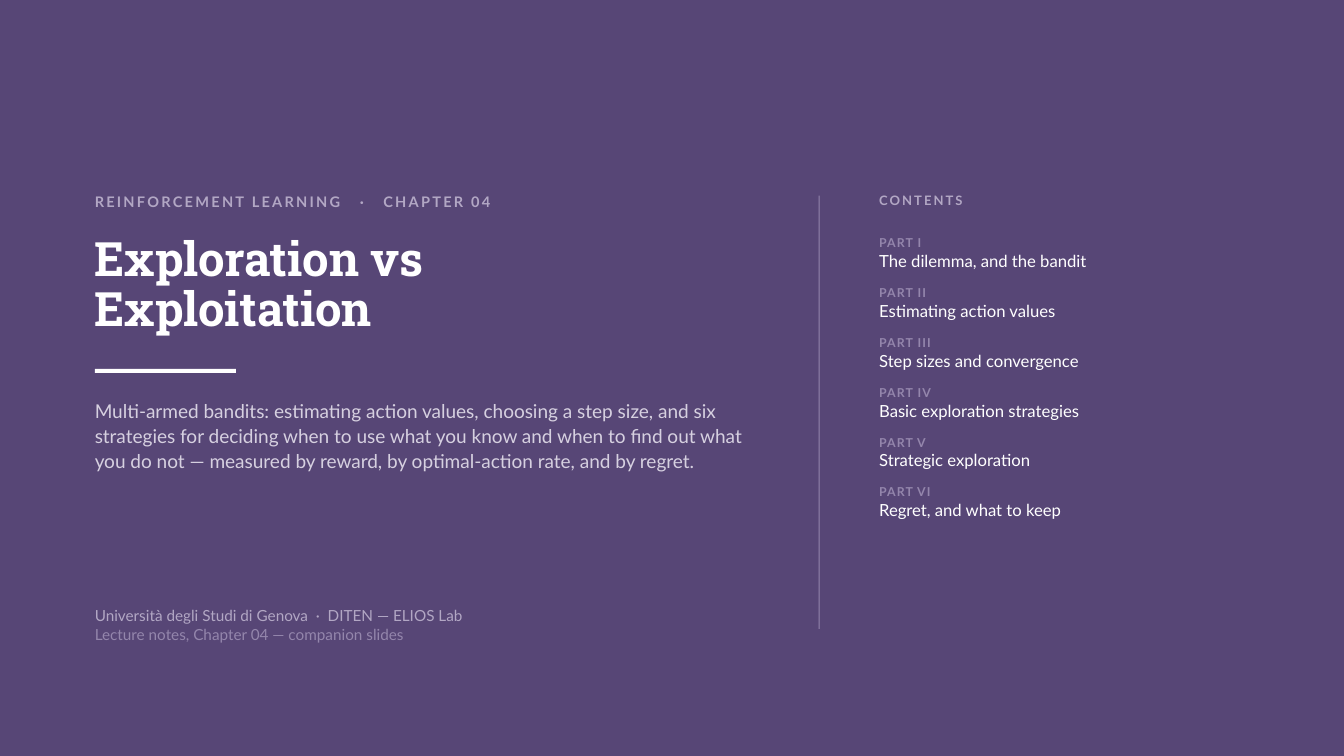
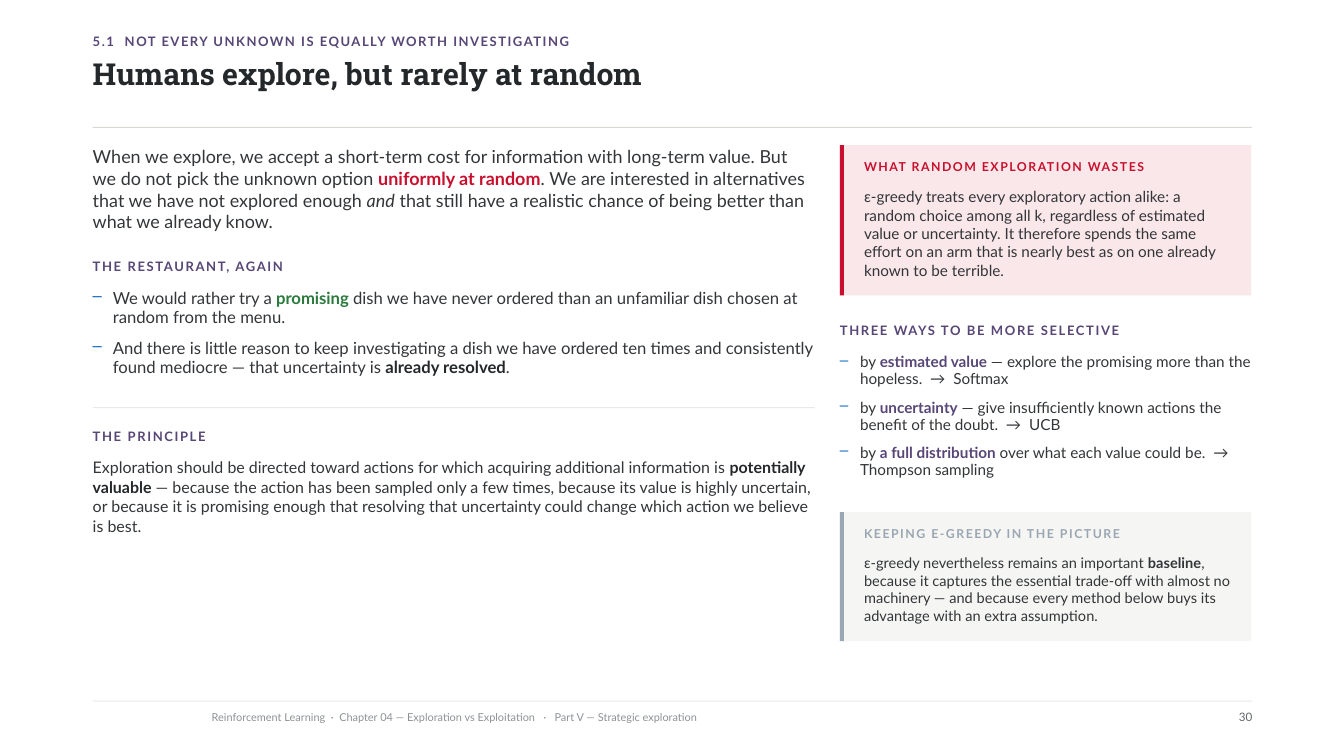
"""Builds the cover and one content slide of a lecture on exploration vs exploitation."""
from lxml.etree import SubElement
from pptx import Presentation
from pptx.dml.color import RGBColor
from pptx.enum.shapes import MSO_SHAPE
from pptx.enum.text import PP_ALIGN
from pptx.oxml.ns import qn
from pptx.util import Pt

PX = 9144
BODY, HEAD = "Lato", "Roboto Slab"
HUES = {
    "plum": "574676", "lilac": "B2A7C4", "mauve": "9486AC", "mist": "D6D0E0",
    "white": "FFFFFF", "dark": "25282A", "ink": "333639", "rule": "D9D9D6",
    "faint": "E9E9E6", "gray": "8E9295", "page": "626669", "red": "C8102E",
    "rose": "FAE7EA", "green": "2B7A3E", "blue": "1971C2", "steel": "9AA6B2",
    "sand": "F5F5F3",
}
LEFT, TOP, FULL = 92, 144, 1150
MAIN, SIDE, NARROW = 716, 833, 408


def box(slide, x, y, w, h, fill=None):
    """Adds a filled bar, or an empty text box when no fill is given."""
    spot = [n * PX for n in (x, y, w, h)]
    if fill:
        shape = slide.shapes.add_shape(MSO_SHAPE.RECTANGLE, *spot)
        shape.shadow.inherit = False
        shape.fill.solid()
        shape.fill.fore_color.rgb = RGBColor.from_string(HUES[fill])
        shape.line.fill.background()
        return shape
    shape = slide.shapes.add_textbox(*spot)
    frame = shape.text_frame
    frame.word_wrap = True
    frame.margin_left = frame.margin_right = frame.margin_top = frame.margin_bottom = 0
    return shape


def write(shape, runs, size, lead, gap=0, track=0, face=BODY, dash=False):
    """Adds a paragraph of (text, colour, style) runs."""
    frame = shape.text_frame
    para = frame.paragraphs[0]
    if para.runs:
        para = frame.add_paragraph()
        para.space_before = Pt(gap)
    if dash:
        props = para._p.get_or_add_pPr()
        props.set("marL", str(20 * PX))
        props.set("indent", str(-20 * PX))
        tint = SubElement(props, qn("a:buClr"))
        SubElement(tint, qn("a:srgbClr")).set("val", HUES["blue"])
        SubElement(props, qn("a:buChar")).set("char", "–")
    para.line_spacing = Pt(lead)
    for text, hue, style in runs:
        run = para.add_run()
        run.text = text
        font = run.font
        font.name, font.size = face, Pt(size)
        font.bold, font.italic = style == "b", style == "i"
        font.color.rgb = RGBColor.from_string(HUES[hue])
        if track:
            run._r.get_or_add_rPr().set("spc", str(round(track * 100)))
    return para


deck = Presentation()
deck.slide_width, deck.slide_height = 1333 * PX, 750 * PX
blank = deck.slide_layouts[6]

cover = deck.slides.add_slide(blank)
box(cover, 0, 0, 1333, 750, "plum")
write(box(cover, 94, 194, 690, 26),
      [("REINFORCEMENT LEARNING   ·   CHAPTER 04", "lilac", "b")], 10.4, 10.4, track=1.6)
title = box(cover, 94, 234, 740, 110)
for line in ("Exploration vs", "Exploitation"):
    write(title, [(line, "white", "b")], 33.8, 35.9, face=HEAD)
box(cover, 94, 366, 140, 4, "white")
write(box(cover, 94, 394, 670, 150), [(
    "Multi-armed bandits: estimating action values, choosing a step size, and six "
    "strategies for deciding when to use what you know and when to find out what you "
    "do not — measured by reward, by optimal-action rate, and by regret.",
    "mist", "")], 13.6, 18)
credit = box(cover, 94, 604, 690, 62)
for line, hue in (("Università degli Studi di Genova  ·  DITEN — ELIOS Lab", "lilac"),
                  ("Lecture notes, Chapter 04 — companion slides", "mauve")):
    write(credit, [(line, hue, "")], 10.9, 10.9, gap=3)

box(cover, 812, 194, 1, 430, "mauve")
write(box(cover, 872, 194, 370, 24), [("CONTENTS", "lilac", "b")], 9.3, 9.3, track=1.5)
parts = {
    "I": "The dilemma, and the bandit",
    "II": "Estimating action values",
    "III": "Step sizes and convergence",
    "IV": "Basic exploration strategies",
    "V": "Strategic exploration",
    "VI": "Regret, and what to keep",
}
index = box(cover, 872, 236, 370, 400)
for num, name in parts.items():
    write(index, [(f"PART {num}", "mauve", "b")], 8.8, 8.8, gap=12, track=0.8)
    write(index, [(name, "white", "")], 11.9, 12.8, gap=2)

page = deck.slides.add_slide(blank)
write(box(page, LEFT, 36, FULL, 22),
      [("5.1  NOT EVERY UNKNOWN IS EQUALLY WORTH INVESTIGATING", "plum", "b")],
      9.3, 9.3, track=1.1)
write(box(page, LEFT, 60, FULL, 52),
      [("Humans explore, but rarely at random", "dark", "b")], 21.6, 22.5, face=HEAD)
for y, w, hue in ((126, FULL, "rule"), (404, MAIN, "faint"), (695, FULL, "faint")):
    box(page, LEFT, y, w, 1, hue)
write(box(page, 210, 707, 910, 22), [(
    "Reinforcement Learning  ·  Chapter 04 — Exploration vs Exploitation   ·   "
    "Part V — Strategic exploration", "gray", "")], 7.8, 7.8)
folio = write(box(page, 1122, 707, 120, 22), [("30", "page", "")], 8.3, 8.3)
folio.alignment = PP_ALIGN.RIGHT

for x, y, w, text in ((LEFT, 259, 600, "THE RESTAURANT, AGAIN"),
                      (LEFT, 428, 600, "THE PRINCIPLE"),
                      (SIDE, 323, NARROW, "THREE WAYS TO BE MORE SELECTIVE")):
    write(box(page, x, y, w, 20), [(text, "plum", "b")], 9.3, 9.3, track=1.2)

write(box(page, LEFT, TOP, MAIN, 91), [
    ("When we explore, we accept a short-term cost for information with long-term "
     "value. But we do not pick the unknown option ", "ink", ""),
    ("uniformly at random", "red", "b"),
    (". We are interested in alternatives that we have not explored enough ", "ink", ""),
    ("and", "ink", "i"),
    (" that still have a realistic chance of being better than what we already know.",
     "ink", "")], 12.8, 15.6)

dishes = box(page, LEFT, 287, MAIN, 91)
for lead, key, hue, rest in (
        ("We would rather try a ", "promising", "green",
         " dish we have never ordered than an unfamiliar dish chosen at random from the menu."),
        ("And there is little reason to keep investigating a dish we have ordered ten times "
         "and consistently found mediocre — that uncertainty is ",
         "already resolved", "dark", ".")):
    write(dishes, [(lead, "ink", ""), (key, hue, "b"), (rest, "ink", "")],
          11.9, 13.3, gap=9, dash=True)

write(box(page, LEFT, 454, MAIN, 81), [
    ("Exploration should be directed toward actions for which acquiring additional "
     "information is ", "ink", ""),
    ("potentially valuable", "dark", "b"),
    (" — because the action has been sampled only a few times, because its value is "
     "highly uncertain, or because it is promising enough that resolving that uncertainty "
     "could change which action we believe is best.", "ink", "")], 11.4, 13.9)

ways = box(page, SIDE, 351, NARROW, 129)
for key, rest in (
        ("estimated value", " — explore the promising more than the hopeless.  →  Softmax"),
        ("uncertainty",
         " — give insufficiently known actions the benefit of the doubt.  →  UCB"),
        ("a full distribution", " over what each value could be.  →  Thompson sampling")):
    write(ways, [("by ", "ink", ""), (key, "plum", "b"), (rest, "ink", "")],
          10.9, 12.2, gap=8, dash=True)

cards = (
    (TOP, 149, "rose", "red", "WHAT RANDOM EXPLORATION WASTES", 10.9, 13.1, [
        ("ε-greedy treats every exploratory action alike: a random choice among all k, "
         "regardless of estimated value or uncertainty. It therefore spends the same effort "
         "on an arm that is nearly best as on one already known to be terrible.",
         "ink", "")]),
    (508, 128, "sand", "steel", "KEEPING Ε-GREEDY IN THE PICTURE", 10.4, 12.5, [
        ("ε-greedy nevertheless remains an important ", "ink", ""),
        ("baseline", "ink", "b"),
        (", because it captures the essential trade-off with almost no machinery — and "
         "because every method below buys its advantage with an extra assumption.",
         "ink", "")]),
)
for y, h, fill, hue, head, size, lead, runs in cards:
    box(page, SIDE, y, NARROW, h, fill)
    box(page, SIDE, y, 4, h, hue)
    write(box(page, SIDE + 24, y + 16, 376, 20), [(head, hue, "b")], 8.8, 8.8, track=1.1)
    write(box(page, SIDE + 24, y + 42, 366, h - 58), runs, size, lead)

deck.save("out.pptx")
